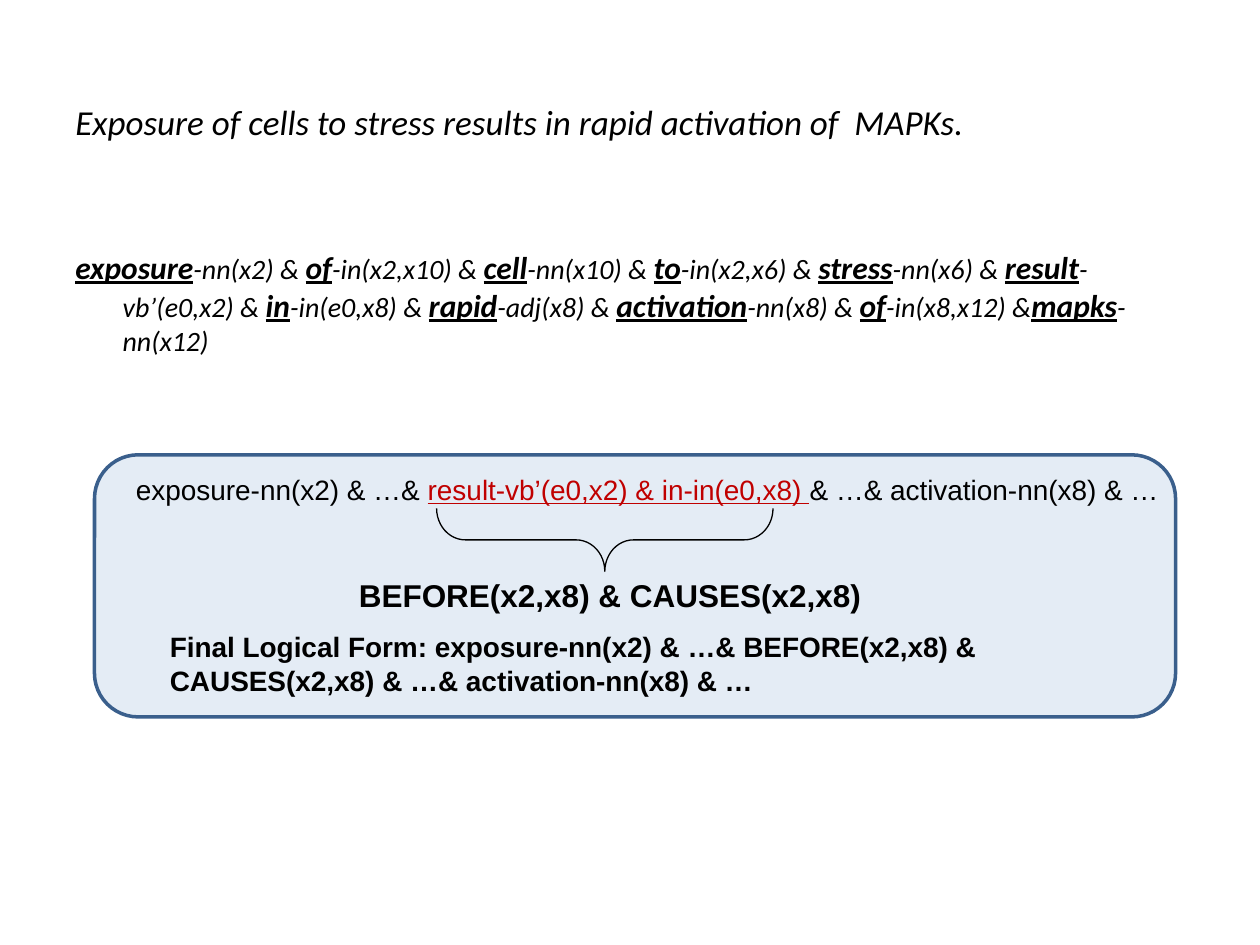
from lxml import etree
from pptx import Presentation
from pptx import util as u
from pptx.dml.color import RGBColor
from pptx.enum import shapes, text
from pptx.oxml.ns import qn

HUES = {"ink": "000000", "mark": "C00000", "fill": "4F81BD", "edge": "3A5F8C"}

deck = Presentation()
deck.slide_width, deck.slide_height = u.Inches(10), u.Inches(7.5)
page = deck.slides.add_slide(deck.slide_layouts[6])
cell = deck.slide_width // 100  # square grid: 100 columns by 75 rows


def add_box(col, row, wide, high, grow=True):
    """Add a wrapping text box, placed in grid cells."""
    frame = page.shapes.add_textbox(
        *(int(n * cell) for n in (col, row, wide, high))).text_frame
    frame.word_wrap = True
    frame.auto_size = (text.MSO_AUTO_SIZE.SHAPE_TO_FIT_TEXT if grow
                       else text.MSO_AUTO_SIZE.NONE)
    return frame


def add_run(para, words, size, face="Arial", hue="ink", **style):
    """Add a run; style holds bold, italic or underline."""
    run = para.add_run()
    run.text = words
    font = run.font
    font.name, font.size = face, u.Pt(size)
    font.color.rgb = RGBColor.from_string(HUES[hue])
    for key, value in style.items():
        setattr(font, key, value)


# Sentence and its logical form, with hanging indents
body = add_box(5, 7.5, 90, 59.5, grow=False)
top = body.paragraphs[0]
form = body.add_paragraph()
form.space_before = u.Pt(60)
for para in (top, form):
    props = para._p.get_or_add_pPr()
    props.set("marL", str(int(3.75 * cell)))
    props.set("indent", str(int(-3.75 * cell)))

add_run(top, "Exposure of cells to stress results in rapid activation of  MAPKs.",
        20, "Calibri", italic=True)
terms = [
    ("exposure", "-nn(x2) & "), ("of", "-in(x2,x10) & "),
    ("cell", "-nn(x10) & "), ("to", "-in(x2,x6) & "),
    ("stress", "-nn(x6) & "), ("result", "-vb’(e0,x2) & "),
    ("in", "-in(e0,x8) & "), ("rapid", "-adj(x8) & "),
    ("activation", "-nn(x8) & "), ("of", "-in(x8,x12) &"),
    ("mapks", "-nn(x12)"),
]
for word, tag in terms:
    add_run(form, word, 18, "Calibri", bold=True, italic=True, underline=True)
    add_run(form, tag, 16, "Calibri", italic=True)

# Rounded panel with a pale, see-through fill
panel = page.shapes.add_shape(
    shapes.MSO_SHAPE.ROUNDED_RECTANGLE,
    *(int(n * cell) for n in (7.5, 36.1, 85.8, 20.8)))
panel.shadow.inherit = False
panel.fill.solid()
panel.fill.fore_color.rgb = RGBColor.from_string(HUES["fill"])
tint = panel._element.spPr.find(qn("a:solidFill")).find(qn("a:srgbClr"))
etree.SubElement(tint, qn("a:alpha")).set("val", "15000")
panel.line.color.rgb = RGBColor.from_string(HUES["edge"])
panel.line.width = u.Pt(2)

# Formula with the marked pattern
rule = add_box(4.8, 37, 90.8, 3.7).paragraphs[0]
rule._p.get_or_add_pPr().set("marL", str(5 * cell))
add_run(rule, "exposure-nn(x2) & …& ", 16)
add_run(rule, "result-vb’(e0,x2) & in-in(e0,x8) ", 16, hue="mark", underline=True)
add_run(rule, "& …& activation-nn(x8) & …", 16)

# Brace below the pattern, turned to point down
brace = page.shapes.add_shape(
    shapes.MSO_SHAPE.RIGHT_BRACE,
    *(int(n * cell) for n in (45.5, 29.5, 5, 26.7)))
brace.rotation = 90
brace.adjustments[0] = 0.455
brace.shadow.inherit = False
brace.fill.background()
brace.line.color.rgb = RGBColor.from_string(HUES["ink"])
brace.line.width = u.Pt(0.75)

# Relations and final form
links = add_box(27.5, 45.2, 42.7, 4).paragraphs[0]
add_run(links, "BEFORE(x2,x8) & CAUSES(x2,x8)", 18, bold=True)
final = add_box(12.5, 49.5, 78.3, 10.4, grow=False).paragraphs[0]
add_run(final, "Final Logical Form: exposure-nn(x2) & …& BEFORE(x2,x8) & "
        "CAUSES(x2,x8) & …& activation-nn(x8) & …", 16, bold=True)

deck.save("out.pptx")
